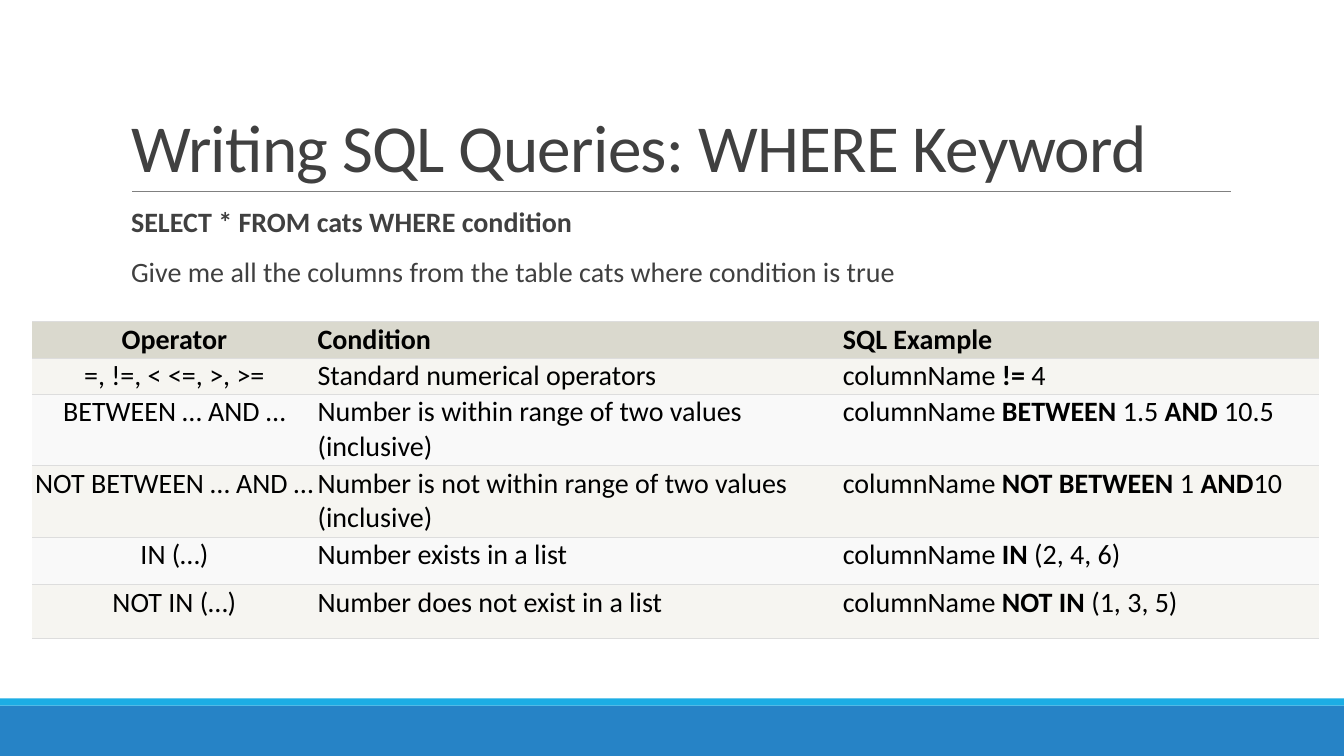
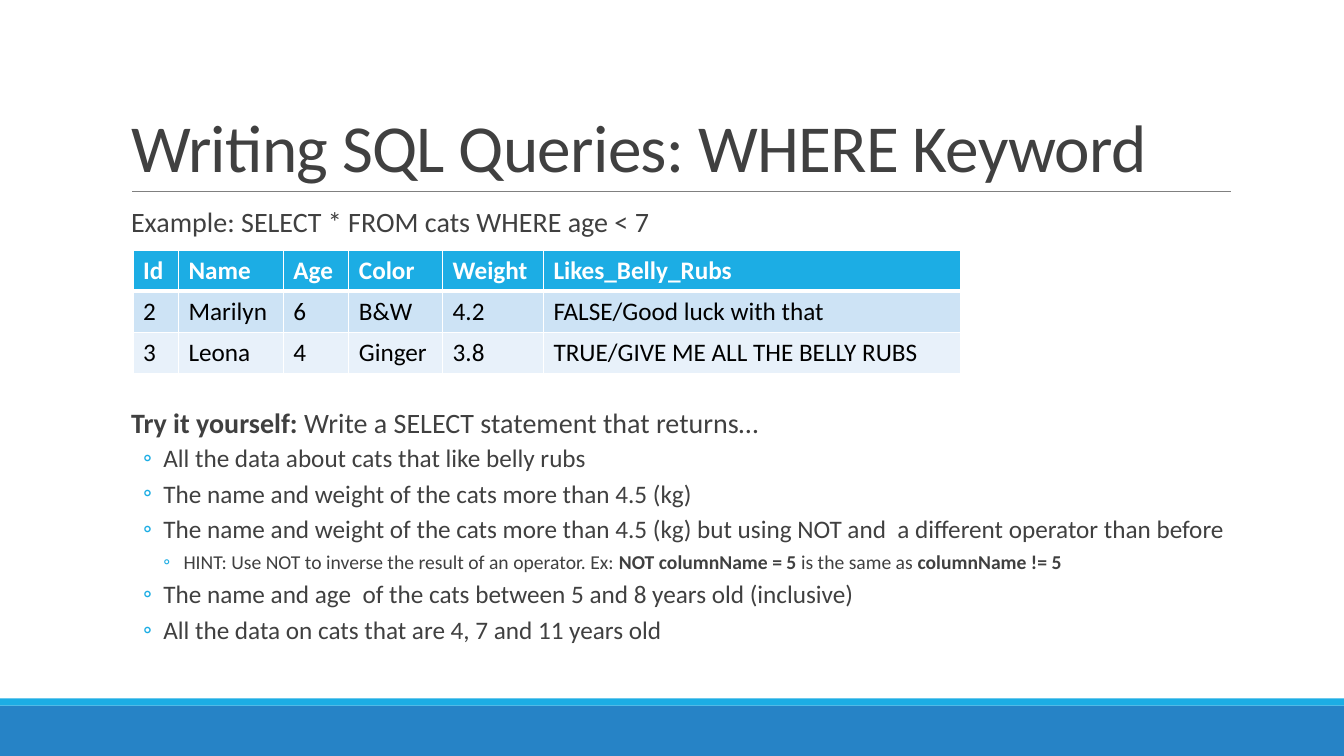
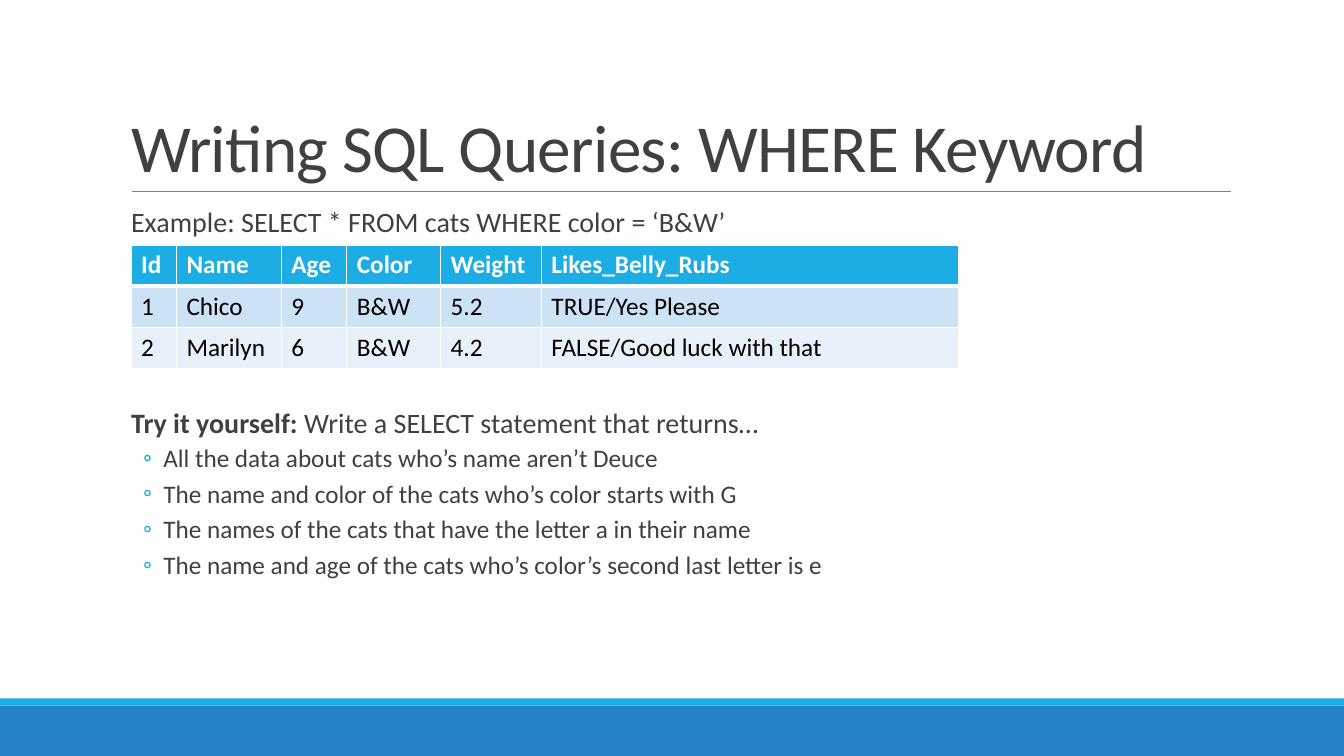
from dataclasses import dataclass

from lxml import etree
from pptx import Presentation
from pptx import util as u
from pptx.dml.color import RGBColor
from pptx.enum import shapes, text
from pptx.oxml.ns import qn


# Theme: colours and type sizes
@dataclass(frozen=True)
class Theme:
    font: str = "Calibri"
    ink: str = "404040"
    black: str = "000000"
    white: str = "FFFFFF"
    blue: str = "2683C6"
    cyan: str = "1CADE4"
    rule: str = "808080"
    grey: str = "DDDDDD"
    stone: tuple[str, ...] = ("DAD9CE", "F6F5F1", "F9F9F9")
    sky: tuple[str, ...] = ("1CADE4", "CDE3F5", "E8F1FA")
    title: int = 48
    lead: int = 20
    item: int = 18
    hint: int = 14


T = Theme()


@dataclass(frozen=True)
class Band:
    top: float
    high: float
    fill: str


@dataclass(frozen=True)
class Line:
    """A body paragraph; ** marks bold parts of the text."""
    text: str
    level: int = 0
    before: float = 12


@dataclass(frozen=True)
class Look:
    cols: tuple[float, ...]
    highs: tuple[float, ...]
    fills: tuple[str, ...]
    size: int
    head: str
    edge: str
    width: float
    heavy: float
    sides: bool
    pad: tuple[float, float]
    mid: bool


@dataclass(frozen=True)
class Grid:
    left: float
    top: float
    look: Look
    rows: list[tuple[str, ...]]


@dataclass(frozen=True)
class Page:
    high: float
    lines: list[Line]
    grid: Grid


BANDS = [Band(7, 0.5, T.blue), Band(6.93, 0.07, T.cyan)]
TITLE = "Writing SQL Queries: WHERE Keyword"
SIZES = (T.lead, T.item, T.hint)
DENTS = (0.1, 0.42, 0.62)

RULES = Look((2.82, 5.21, 4.73), (0.36, 0.35, 0.71, 0.71, 0.47, 0.53), T.stone,
             T.lead, T.black, T.grey, 0.6, 0.6, False, (0.01, 0.01), True)
CATS = Look((0.45, 1.04, 0.65, 0.93, 1, 4.14), (0.41,) * 3, T.sky,
            T.item, T.white, T.white, 1, 3, True, (0.1, 0.05), False)
HEAD = ("Id", "Name", "Age", "Color", "Weight", "Likes_Belly_Rubs")
TASK = Line("**Try it yourself: **Write a SELECT statement that returns…", before=120)
MARILYN = ("2", "Marilyn", "6", "B&W", "4.2", "FALSE/Good luck with that")


def item(words: str, level: int = 1) -> Line:
    return Line(words, level, 2)


PAGES = [
    Page(4.4, [
        Line("**SELECT * FROM cats WHERE condition**", before=0),
        Line("Give me all the columns from the table cats where condition is true"),
    ], Grid(0.32, 3.19, RULES, [
        ("Operator", "Condition", "SQL Example"),
        ("=, !=, < <=, >, >=", "Standard numerical operators", "columnName **!=** 4"),
        ("BETWEEN … AND …", "Number is within range of two values (inclusive)",
         "columnName **BETWEEN** 1.5 **AND** 10.5"),
        ("NOT BETWEEN … AND …", "Number is not within range of two values (inclusive)",
         "columnName **NOT BETWEEN** 1 **AND**10"),
        ("IN (…)", "Number exists in a list", "columnName **IN** (2, 4, 6)"),
        ("NOT IN (…)", "Number does not exist in a list",
         "columnName **NOT IN** (1, 3, 5)"),
    ])),
    Page(4.96, [
        Line("Example: SELECT * FROM cats WHERE age < 7", before=0),
        TASK,
        item("All the data about cats that like belly rubs"),
        item("The name and weight of the cats more than 4.5 (kg)"),
        item("The name and weight of the cats more than 4.5 (kg) but using NOT and"
             "  a different operator than before"),
        item("HINT: Use NOT to inverse the result of an operator. Ex: "
             "**NOT columnName = 5** is the same as **columnName != 5**", 2),
        item("The name and age  of the cats between 5 and 8 years old (inclusive)"),
        item("All the data on cats that are 4, 7 and 11 years old"),
    ], Grid(1.32, 2.48, CATS, [
        HEAD, MARILYN,
        ("3", "Leona", "4", "Ginger", "3.8", "TRUE/GIVE ME ALL THE BELLY RUBS"),
    ])),
    Page(4.4, [
        Line("Example: SELECT * FROM cats WHERE color = ‘B&W’", before=0),
        TASK,
        item("All the data about cats who’s name aren’t Deuce"),
        item("The name and color of the cats who’s color starts with G"),
        item("The names of the cats that have the letter a in their name"),
        item("The name and age of the cats who’s color’s second last letter is e"),
    ], Grid(1.3, 2.43, CATS, [
        HEAD,
        ("1", "Chico", "9", "B&W", "5.2", "TRUE/Yes Please"),
        MARILYN,
    ])),
]


def tint(code: str) -> RGBColor:
    return RGBColor.from_string(code)


def node(root, tag: str, **attrs: str):
    return etree.SubElement(root, qn(tag), attrs)


def write(par, words: str, *, size: float, color: str = T.ink, bold: bool = False,
          align=text.PP_ALIGN.LEFT, gap: float = 1, before: float = 0,
          after: float = 0, track: int = 0) -> None:
    """Fill a paragraph; parts between ** are bold."""
    par.alignment, par.line_spacing = align, gap
    par.space_before, par.space_after = u.Pt(before), u.Pt(after)
    for i, part in enumerate(words.split("**")):
        if not part:
            continue
        run = par.add_run()
        run.text = part
        font = run.font
        font.name, font.size = T.font, u.Pt(size)
        font.bold = bold or i % 2 == 1
        font.color.rgb = tint(color)
        if track:
            run._r.get_or_add_rPr().set("spc", str(track))


def place(shape, left: float, top: float, wide: float, high: float) -> None:
    shape.left, shape.top = u.Inches(left), u.Inches(top)
    shape.width, shape.height = u.Inches(wide), u.Inches(high)


# Shared bands and title rule, kept on the layout
def frame(slide, layout, wide: int) -> None:
    parts = []
    for band in BANDS:
        bar = slide.shapes.add_shape(shapes.MSO_SHAPE.RECTANGLE, 0, u.Inches(band.top),
                                     wide, u.Inches(band.high))
        bar.shadow.inherit = False
        bar.fill.solid()
        bar.fill.fore_color.rgb = tint(band.fill)
        bar.line.fill.background()
        parts.append(bar)
    rule = slide.shapes.add_connector(shapes.MSO_CONNECTOR.STRAIGHT, u.Inches(1.31),
                                      u.Inches(1.9), u.Inches(12.21), u.Inches(1.9))
    rule.line.color.rgb = tint(T.rule)
    rule.line.width = u.Pt(0.5)
    node(rule.element.spPr, "a:effectLst")
    parts.append(rule)
    for i, part in enumerate(parts):
        layout.shapes.element.insert(2 + i, part.element)


# Title and body placeholders
def head(slide) -> None:
    shape = slide.shapes.title
    place(shape, 1.2, 0.31, 11, 1.59)
    box = shape.text_frame
    box.word_wrap, box.auto_size = True, text.MSO_AUTO_SIZE.NONE
    box.vertical_anchor = text.MSO_ANCHOR.BOTTOM
    write(box.paragraphs[0], TITLE, size=T.title, gap=0.85, track=-50)


def dent(par, level: int) -> None:
    par.level = level
    props = par._p.get_or_add_pPr()
    props.set("marL", str(u.Inches(DENTS[level])))
    props.set("indent", str(u.Inches(-0.2 if level else 0)))
    if level:
        node(node(props, "a:buClr"), "a:srgbClr", val=T.cyan)
        node(props, "a:buFont", typeface=T.font)
        node(props, "a:buChar", char="◦")
    else:
        node(props, "a:buNone")


def body(slide, page: Page) -> None:
    shape = slide.placeholders[1]
    place(shape, 1.2, 2.02, 11, page.high)
    box = shape.text_frame
    box.word_wrap, box.auto_size = True, text.MSO_AUTO_SIZE.NONE
    box.vertical_anchor = text.MSO_ANCHOR.TOP
    box.margin_left = box.margin_right = 0
    box.margin_top = box.margin_bottom = u.Inches(0.05)
    for i, line in enumerate(page.lines):
        par = box.add_paragraph() if i else box.paragraphs[0]
        dent(par, line.level)
        write(par, line.text, size=SIZES[line.level], gap=0.9,
              before=line.before, after=4 if line.level else 2)


# Tables
def edges(cell, look: Look, row: int) -> None:
    side = look.width if look.sides else 0
    widths = {"L": side, "R": side,
              "T": look.heavy if row == 1 else look.width,
              "B": look.heavy if row == 0 else look.width}
    props = cell._tc.get_or_add_tcPr()
    for key, width in widths.items():
        edge = node(props, f"a:ln{key}", w=str(u.Pt(width)))
        if width:
            node(node(edge, "a:solidFill"), "a:srgbClr", val=look.edge)
        else:
            node(edge, "a:noFill")


def table(slide, grid: Grid) -> None:
    look = grid.look
    tab = slide.shapes.add_table(
        len(grid.rows), len(look.cols), u.Inches(grid.left), u.Inches(grid.top),
        u.Inches(sum(look.cols)), u.Inches(sum(look.highs))).table
    tab.first_row = tab.horz_banding = False
    for col, wide in zip(tab.columns, look.cols):
        col.width = u.Inches(wide)
    for row, high in zip(tab.rows, look.highs):
        row.height = u.Inches(high)
    for r, row in enumerate(grid.rows):
        shade = look.fills[0 if r == 0 else 2 - r % 2]
        for c, words in enumerate(row):
            cell = tab.cell(r, c)
            edges(cell, look, r)
            cell.fill.solid()
            cell.fill.fore_color.rgb = tint(shade)
            cell.margin_left = cell.margin_right = u.Inches(look.pad[0])
            cell.margin_top = cell.margin_bottom = u.Inches(look.pad[1])
            mid = look.mid and c == 0
            write(cell.text_frame.paragraphs[0], words, size=look.size,
                  color=T.black if r else look.head, bold=r == 0,
                  align=text.PP_ALIGN.CENTER if mid else text.PP_ALIGN.LEFT)


def main() -> None:
    deck = Presentation()
    deck.slide_width, deck.slide_height = u.Inches(13.33), u.Inches(7.5)
    layout = deck.slide_layouts[1]
    for i, page in enumerate(PAGES):
        slide = deck.slides.add_slide(layout)
        if i == 0:
            frame(slide, layout, deck.slide_width)
        head(slide)
        body(slide, page)
        table(slide, page.grid)
    deck.save("out.pptx")


if __name__ == "__main__":
    main()
